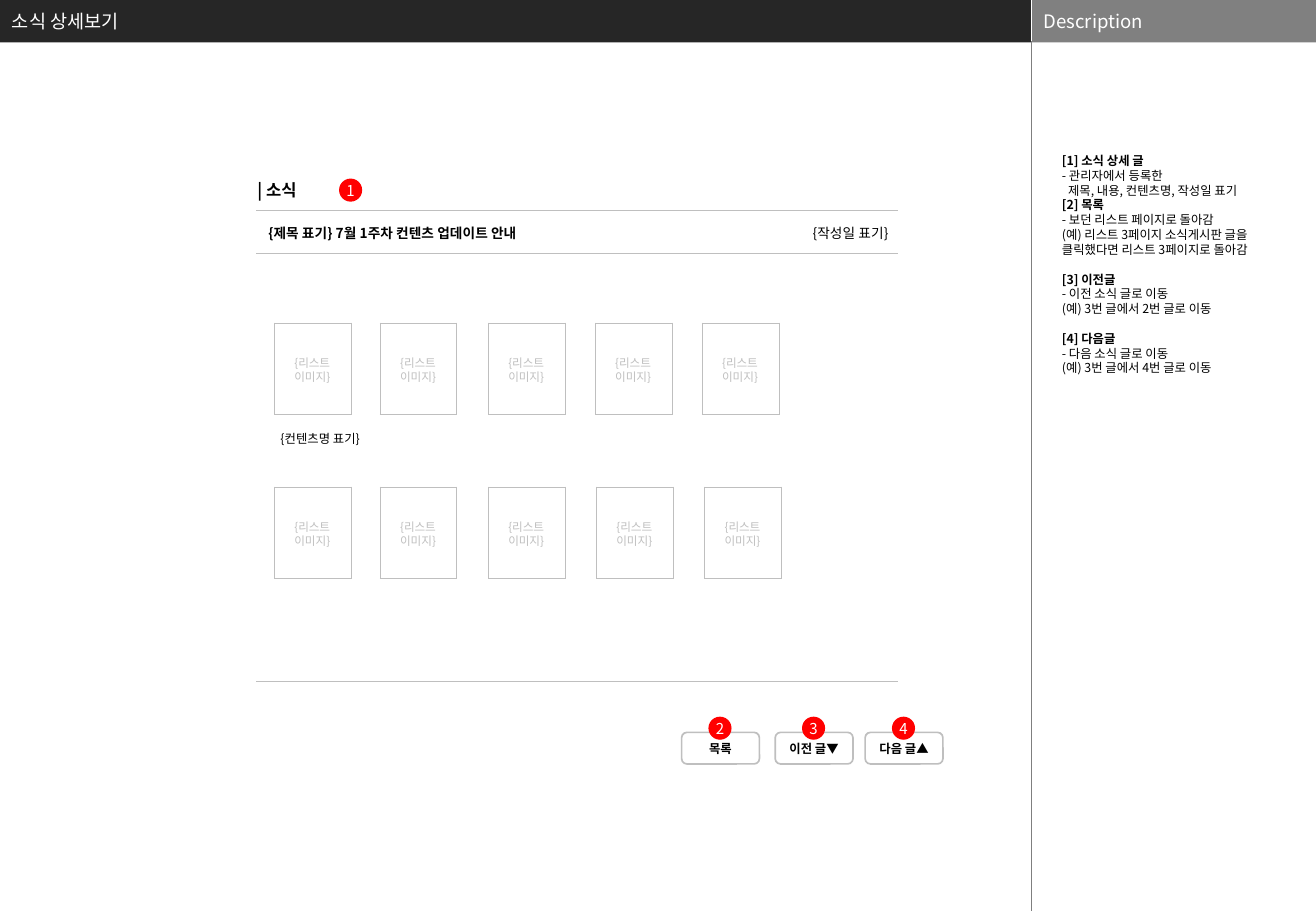
from lxml import etree
from pptx import Presentation
from pptx.dml.color import RGBColor
from pptx.enum.shapes import MSO_CONNECTOR, MSO_SHAPE
from pptx.enum.text import MSO_ANCHOR, PP_ALIGN
from pptx.oxml.ns import qn
from pptx.util import Inches, Pt

FONT = "Noto Sans CJK KR"
RECT = MSO_SHAPE.RECTANGLE
ROUNDED = MSO_SHAPE.ROUNDED_RECTANGLE
OVAL = MSO_SHAPE.OVAL
STRAIGHT = MSO_CONNECTOR.STRAIGHT
MIDDLE, TOP = MSO_ANCHOR.MIDDLE, MSO_ANCHOR.TOP
CENTER, LEFT = PP_ALIGN.CENTER, PP_ALIGN.LEFT
BLACK, WHITE, RED, SILVER = "000000", "FFFFFF", "FF0000", "BFBFBF"

deck = Presentation()
deck.slide_width, deck.slide_height = Inches(10.83), Inches(7.5)
page = deck.slides.add_slide(deck.slide_layouts[6])


def add_box(at, lines=(), size=8.1, color=BLACK, bold=False, align=LEFT, anchor=TOP,
            insets=(0.1, 0.05, 0.1, 0.05), kind=None, fill=None, line=None):
    """Add a text box, or a preset shape if kind is given; centred text does not wrap."""
    place = [Inches(length) for length in at]
    if kind is None:
        box = page.shapes.add_textbox(*place)
    else:
        box = page.shapes.add_shape(kind, *place)
        box.shadow.inherit = False
        box.fill.solid()
        box.fill.fore_color.rgb = RGBColor.from_string(fill)
        if line:
            box.line.color.rgb = RGBColor.from_string(line)
            box.line.width = Pt(1)
        else:
            box.line.fill.background()
    frame = box.text_frame
    frame.word_wrap = align != CENTER
    frame.vertical_anchor = anchor
    (frame.margin_left, frame.margin_top,
     frame.margin_right, frame.margin_bottom) = [Inches(inset) for inset in insets]
    frame.text = "\n".join(lines)
    for para in frame.paragraphs:
        para.alignment = align
        for span in para.runs:
            span.font.size = Pt(size)
            span.font.bold = bold
            span.font.color.rgb = RGBColor.from_string(color)
            span.font.name = FONT
            east_asian = etree.SubElement(span.font._element, qn("a:ea"))
            east_asian.set("typeface", FONT)
    return box


def add_line(start, end, color, width):
    ends = [Inches(length) for length in (*start, *end)]
    rule = page.shapes.add_connector(STRAIGHT, *ends)
    rule.line.color.rgb = RGBColor.from_string(color)
    rule.line.width = Pt(width)
    etree.SubElement(rule._element.spPr, qn("a:effectLst"))


# Header bars and description divider
add_box((0, 0, 8.49, 0.35), kind=RECT, fill="262626")
add_box((8.49, 0, 2.34, 0.35), kind=RECT, fill="808080")
add_line((8.49, 0), (8.49, 0.35), WHITE, 0.25)
add_line((8.49, 0.34), (8.49, 7.5), "7F7F7F", 0.25)
add_box((8.49, 0, 2.34, 0.34), ["Description"], 11, WHITE, anchor=MIDDLE)
add_box((0, 0, 8.25, 0.35), ["소식 상세보기"], 11, WHITE, anchor=MIDDLE)

# Description column
description = [
    "[1] 소식 상세 글",
    "- 관리자에서 등록한",
    "제목, 내용, 컨텐츠명, 작성일 표기",
    "[2] 목록",
    "- 보던 리스트 페이지로 돌아감",
    "(예) 리스트 3페이지 소식게시판 글을 클릭했다면 리스트 3페이지로 돌아감",
    "[3] 이전글",
    "- 이전 소식 글로 이동",
    "(예) 3번 글에서 2번 글로 이동",
    "[4] 다음글",
    "- 다음 소식 글로 이동",
    "(예) 3번 글에서 4번 글로 이동",
]
notes = add_box((8.71, 1.14, 1.9, 5.69), description, 7.3, insets=(0.03, 0.12, 0.03, 0))
for para in notes.text_frame.paragraphs:
    para.runs[0].font.bold = para.text.startswith("[")
    if para.text.startswith(("[3]", "[4]")):
        para.space_before = Pt(8.8)
    if para.text.startswith("제목"):
        para._p.get_or_add_pPr().set("marL", str(Inches(0.05)))

# Article heading
add_box((2.02, 1.43, 1.27, 0.27), ["| 소식"], 9.8, bold=True)
add_box((2.11, 1.8, 2.48, 0.24), ["{제목 표기} 7월 1주차 컨텐츠 업데이트 안내"], bold=True)
add_box((6.56, 1.8, 0.88, 0.24), ["{작성일 표기}"], align=CENTER)
for top in (1.73, 2.09, 5.61):
    add_line((2.11, top), (7.39, top), SILVER, 0.5)

# Image frames
frame_rows = [
    (2.66, (2.26, 3.13, 4.02, 4.9, 5.78)),
    (4.01, (2.26, 3.13, 4.02, 4.91, 5.8)),
]
for top, lefts in frame_rows:
    for left in lefts:
        table = page.shapes.add_table(1, 1, Inches(left), Inches(top),
                                      Inches(0.63), Inches(0.75)).table
        table.first_row = table.horz_banding = False
        cell = table.cell(0, 0)
        properties = cell._tc.get_or_add_tcPr()
        for side in ("a:lnL", "a:lnR", "a:lnT", "a:lnB"):
            border = etree.SubElement(properties, qn(side), w=str(Pt(0.5)))
            solid = etree.SubElement(border, qn("a:solidFill"))
            etree.SubElement(solid, qn("a:srgbClr"), val=SILVER)
        cell.fill.background()
        add_box((left + 0.15, top + 0.27, 0.32, 0.23), ["{리스트", "이미지}"], 6.9, SILVER,
                align=CENTER, insets=(0, 0, 0, 0), kind=RECT, fill=WHITE)

caption = add_box((2.21, 3.44, 5.09, 0.45), ["{컨텐츠명 표기}"], 7.3)
caption.text_frame.paragraphs[0].line_spacing = 1.5

# Buttons and numbered markers
for left, label in ((5.61, "목록"), (6.38, "이전 글▼"), (7.12, "다음 글▲")):
    add_box((left, 6.03, 0.64, 0.26), [label], 7.3, bold=True, align=CENTER,
            anchor=MIDDLE, kind=ROUNDED, fill=WHITE, line=SILVER)
markers = ((2.79, 1.47), (5.83, 5.9), (6.6, 5.9), (7.34, 5.9))
for number, (left, top) in enumerate(markers, 1):
    add_box((left, top, 0.19, 0.19), [str(number)], 8.9, WHITE, align=CENTER,
            anchor=MIDDLE, insets=(0, 0, 0, 0), kind=OVAL, fill=RED)

deck.save("out.pptx")
